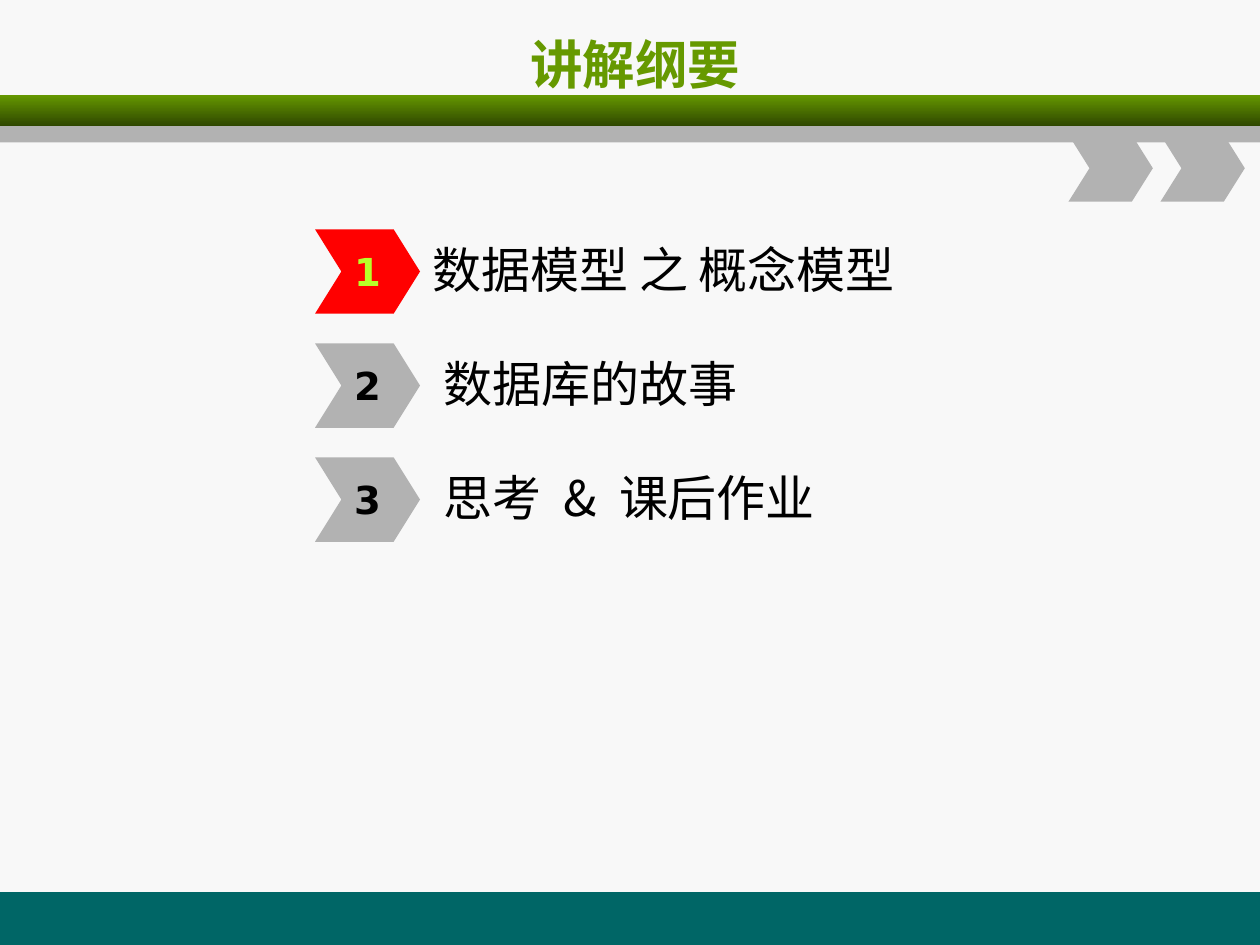
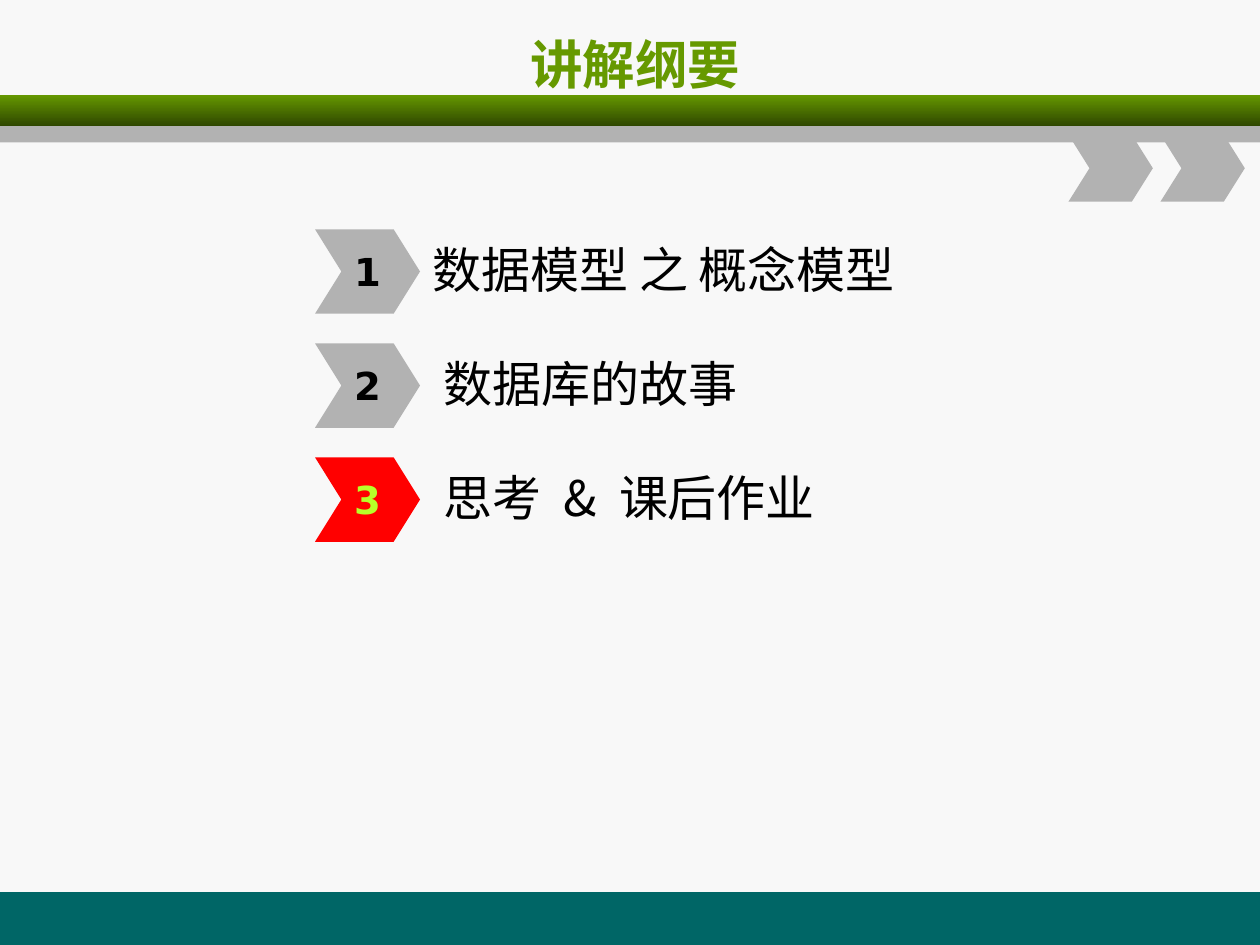
from lxml import etree
from pptx import Presentation
from pptx.dml.color import RGBColor
from pptx.enum.shapes import MSO_SHAPE
from pptx.enum.text import MSO_ANCHOR, PP_ALIGN
from pptx.oxml.ns import qn
from pptx.util import Inches, Pt

RECTANGLE, CHEVRON = MSO_SHAPE.RECTANGLE, MSO_SHAPE.CHEVRON
MIDDLE = MSO_ANCHOR.MIDDLE
LEFT, CENTER = PP_ALIGN.LEFT, PP_ALIGN.CENTER

WIDTH, HEIGHT = 10, 7.5
COLORS = {
    "background": "F8F8F8",
    "footer": "006666",
    "green": "669900",
    "dark_green": "2F4700",
    "gray": "B2B2B2",
    "current": "FF0000",
    "current_number": "B8FF29",
    "ink": "000000",
}
HEAD_FONT, BODY_FONT = "DejaVu Sans", "Noto Sans CJK JP"
WIDE_SPACE = 6.3
TITLE = "讲解纲要"
TOPICS = [
    (0, ["数据模型 之 概念模型"]),
    (0.09, ["数据库的故事"]),
    (0.09, ["思考", " ", "&", " ", "课后作业"]),
]
CURRENT_TOPICS = [0, 2]


def rgb(color):
    """Return the named colour."""
    return RGBColor.from_string(COLORS[color])


def add_block(slide, preset, box, color, point=None):
    """Add a flat preset shape in box, with an optional chevron point."""
    block = slide.shapes.add_shape(preset, *map(Inches, box))
    block.shadow.inherit = False
    block.fill.solid()
    block.fill.fore_color.rgb = rgb(color)
    block.line.fill.background()
    if point is not None:
        block.adjustments[0] = point
    return block


def write(frame, pieces, size, font, color, align=LEFT, bold=False, wrap=False):
    """Write one vertically centred paragraph run by run."""
    frame.word_wrap = wrap
    frame.vertical_anchor = MIDDLE
    paragraph = frame.paragraphs[0]
    paragraph.alignment = align
    for piece in pieces:
        run = paragraph.add_run()
        run.text = piece
        run.font.size = Pt(size)
        run.font.bold = bold
        run.font.color.rgb = rgb(color)
        run.font.name = font
        properties = run.font._element
        etree.SubElement(properties, qn("a:ea"), typeface=font)
        if piece == " ":
            properties.set("spc", str(round(WIDE_SPACE * 100)))


def add_header(slide, box):
    """Draw the green and gray bands with two chevrons hanging below."""
    left, top, width, height = box
    green_band = add_block(slide, RECTANGLE, (left, top, width, height * 0.66), "green")
    green_band.fill.gradient()
    green_band.fill.gradient_angle = 270
    for stop, color in zip(green_band.fill.gradient_stops, ("green", "dark_green")):
        stop.color.rgb = rgb(color)
    add_block(slide, RECTANGLE, (left, top + height * 0.66, width, height * 0.34), "gray")
    for column in range(2):
        chevron_left = left + width * (0.848 + 0.073 * column)
        chevron = (chevron_left, top + height * 0.84, width * 0.067, height * 1.4)
        add_block(slide, CHEVRON, chevron, "gray", 0.314)


def add_title(slide, box):
    """Place the centred slide title."""
    title = slide.shapes.add_textbox(*map(Inches, box))
    write(title.text_frame, [TITLE], 30, HEAD_FONT, "green", CENTER, True, True)


def add_topic(slide, box, number, indent, pieces, is_current):
    """Place one numbered chevron and its topic in a row."""
    left, top, width, height = box
    marker_width = width / 8.1
    label = slide.shapes.add_textbox(
        *map(Inches, (left + marker_width, top + 0.02, width - marker_width, height * 0.88))
    )
    label.text_frame.margin_left = Inches(0.1 + indent)
    write(label.text_frame, pieces, 28, BODY_FONT, "ink")
    fill, ink = ("current", "current_number") if is_current else ("gray", "ink")
    marker = add_block(slide, CHEVRON, (left, top, marker_width, height), fill, 0.312)
    write(marker.text_frame, [str(number)], 22, HEAD_FONT, ink, CENTER, True)


def add_agenda(slide, box, current):
    """Stack the topics at an equal pitch and highlight the current one."""
    left, top, width, height = box
    row_height = 0.67
    pitch = (height - row_height) / (len(TOPICS) - 1)
    for row, (indent, pieces) in enumerate(TOPICS):
        row_box = (left, top + row * pitch, width, row_height)
        add_topic(slide, row_box, row + 1, indent, pieces, row == current)


def add_outline_slide(deck, current):
    """Build one outline slide with its shared frame."""
    slide = deck.slides.add_slide(deck.slide_layouts[6])
    slide.background.fill.solid()
    slide.background.fill.fore_color.rgb = rgb("background")
    footer_height = HEIGHT * 0.056
    add_block(slide, RECTANGLE, (0, HEIGHT - footer_height, WIDTH, footer_height), "footer")
    add_header(slide, (0, HEIGHT * 0.1, WIDTH, 0.38))
    add_title(slide, (0.54, 0.17, WIDTH * 0.9, 0.67))
    add_agenda(slide, (WIDTH / 4, 1.82, 6.75, 2.48), current)


def main():
    """Build and save the presentation."""
    deck = Presentation()
    deck.slide_width, deck.slide_height = Inches(WIDTH), Inches(HEIGHT)
    for current in CURRENT_TOPICS:
        add_outline_slide(deck, current)
    deck.save("out.pptx")


if __name__ == "__main__":
    main()
